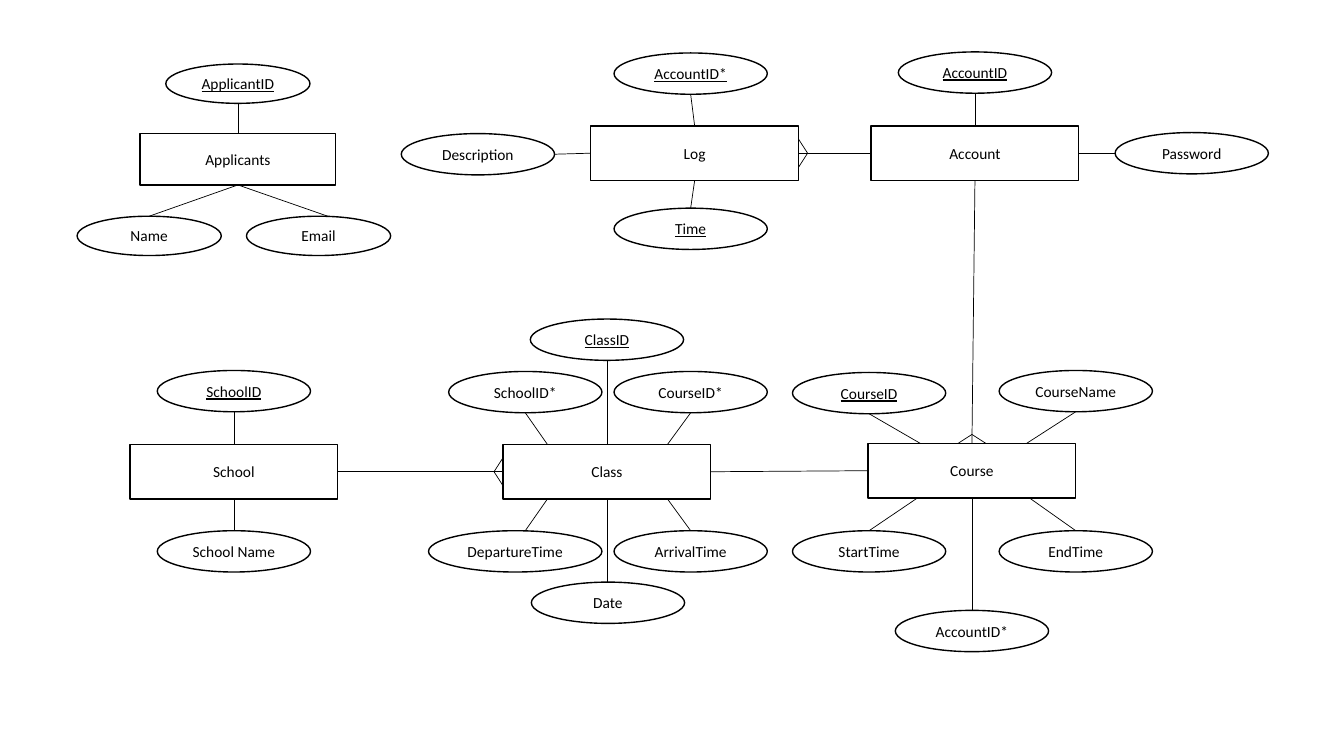
from dataclasses import dataclass

from lxml import etree
from pptx import Presentation
from pptx.dml.color import RGBColor
from pptx.enum import shapes, text
from pptx.oxml import ns
from pptx.util import Inches, Pt

BLACK = RGBColor(0, 0, 0)
FONT = "Calibri"
RECT = shapes.MSO_SHAPE.RECTANGLE
OVAL = shapes.MSO_SHAPE.OVAL
TOE_LEN, TOE_GAP = 0.09, 0.14


@dataclass
class Box:
    """A box given by its centre and size in inches."""
    x: float
    y: float
    w: float = 2.06
    h: float = 0.54

    def edge(self, ux, uy, shift=0):
        """Point on the side facing (ux, uy), moved along x by shift."""
        return self.x + ux * self.w / 2 + shift, self.y + uy * self.h / 2


@dataclass
class Attr:
    """An attribute placed from its entity's centre; foot and tip shift its line's ends."""
    name: str
    dx: float
    dy: float
    foot: float = 0
    tip: float = 0
    key: bool = False
    w: float = 1.52
    h: float = 0.41


def draw_line(slide, start, end):
    line = slide.shapes.add_connector(
        shapes.MSO_CONNECTOR.STRAIGHT, *(Inches(v) for v in start + end))
    line.line.color.rgb = BLACK
    line.line.width = Pt(0.5)
    etree.SubElement(line._element.spPr, ns.qn("a:effectLst"))


def draw_node(slide, kind, box, name, key=False):
    left, top = box.x - box.w / 2, box.y - box.h / 2
    node = slide.shapes.add_shape(
        kind, Inches(left), Inches(top), Inches(box.w), Inches(box.h))
    node.shadow.inherit = False
    node.fill.background()
    node.line.color.rgb = BLACK
    node.line.width = Pt(1)
    frame = node.text_frame
    frame.text = name
    frame.vertical_anchor = text.MSO_ANCHOR.MIDDLE
    frame.margin_left = frame.margin_right = 0
    frame.margin_top = frame.margin_bottom = 0
    para = frame.paragraphs[0]
    para.alignment = text.PP_ALIGN.CENTER
    font = para.runs[0].font
    font.name, font.size, font.color.rgb = FONT, Pt(11), BLACK
    if key:
        font.underline = True


def draw_entity(slide, name, box, attrs):
    """Draw an entity with its attributes and the lines that join them."""
    draw_node(slide, RECT, box, name)
    for attr in attrs:
        oval = Box(box.x + attr.dx, box.y + attr.dy, attr.w, attr.h)
        draw_node(slide, OVAL, oval, attr.name, attr.key)
        if abs(attr.dy) > box.h:
            ux, uy = 0, (1 if attr.dy > 0 else -1)
        else:
            ux, uy = (1 if attr.dx > 0 else -1), 0
        draw_line(slide, box.edge(ux, uy, attr.foot),
                  oval.edge(-ux, -uy, attr.tip))


def draw_crow(slide, box, ux, uy):
    """Draw a crow's foot on the side of the box facing (ux, uy)."""
    x, y = box.edge(ux, uy)
    apex = (x + ux * TOE_LEN, y + uy * TOE_LEN)
    for gap in (-TOE_GAP, TOE_GAP):
        draw_line(slide, apex, (x + uy * gap, y + ux * gap))


BOXES = {
    "Applicants": Box(2.36, 1.58, 1.94, 0.51),
    "Log": Box(6.89, 1.52),
    "Account": Box(9.67, 1.52),
    "School": Box(2.32, 4.68),
    "Class": Box(6.02, 4.68),
    "Course": Box(9.64, 4.67),
}
SMALL = {"w": 1.43, "h": 0.39}
ATTRS = {
    "Applicants": [
        Attr("ApplicantID", 0, -0.75, key=True, **SMALL),
        Attr("Name", -0.88, 0.76, **SMALL),
        Attr("Email", 0.8, 0.76, tip=0.09, **SMALL),
    ],
    "Log": [
        Attr("AccountID*", -0.04, -0.79, key=True),
        Attr("Time", -0.04, 0.75, key=True),
        Attr("Description", -2.15, 0.01),
    ],
    "Account": [
        Attr("AccountID", 0, -0.8, key=True),
        Attr("Password", 2.15, 0),
    ],
    "School": [
        Attr("SchoolID", 0, -0.8, key=True),
        Attr("School Name", 0, 0.79),
    ],
    "Class": [
        Attr("SchoolID*", -0.81, -0.79, 0.22 - 0.81),
        Attr("CourseID*", 0.83, -0.79, 0.6),
        Attr("ClassID", 0, -1.31, key=True),
        Attr("DepartureTime", -0.91, 0.79, -0.59, 0.1, w=1.72),
        Attr("ArrivalTime", 0.83, 0.79, 0.6),
        Attr("Date", 0.01, 1.3, tip=-0.01),
    ],
    "Course": [
        Attr("CourseID", -1.02, -0.77, -0.51),
        Attr("CourseName", 1.03, -0.79, 0.54),
        Attr("StartTime", -1.02, 0.8, -0.54),
        Attr("EndTime", 1.03, 0.8, 0.57),
        Attr("AccountID*", 0, 1.59),
    ],
}
ATTRS["Course"][0].key = True

# One entity, many entity, direction from one to many, crow's foot shown
LINKS = [
    ("Account", "Log", (-1, 0), True),
    ("Account", "Course", (0, 1), True),
    ("School", "Class", (1, 0), True),
    ("Course", "Class", (-1, 0), False),
]


def draw_links(slide):
    for one, many, (ux, uy), crow in LINKS:
        draw_line(slide, BOXES[one].edge(ux, uy), BOXES[many].edge(-ux, -uy))
        if crow:
            draw_crow(slide, BOXES[many], -ux, -uy)


def main():
    deck = Presentation()
    deck.slide_width, deck.slide_height = Inches(13.33), Inches(7.5)
    slide = deck.slides.add_slide(deck.slide_layouts[6])
    for name, box in BOXES.items():
        draw_entity(slide, name, box, ATTRS[name])
    draw_links(slide)
    deck.save("out.pptx")


if __name__ == "__main__":
    main()
